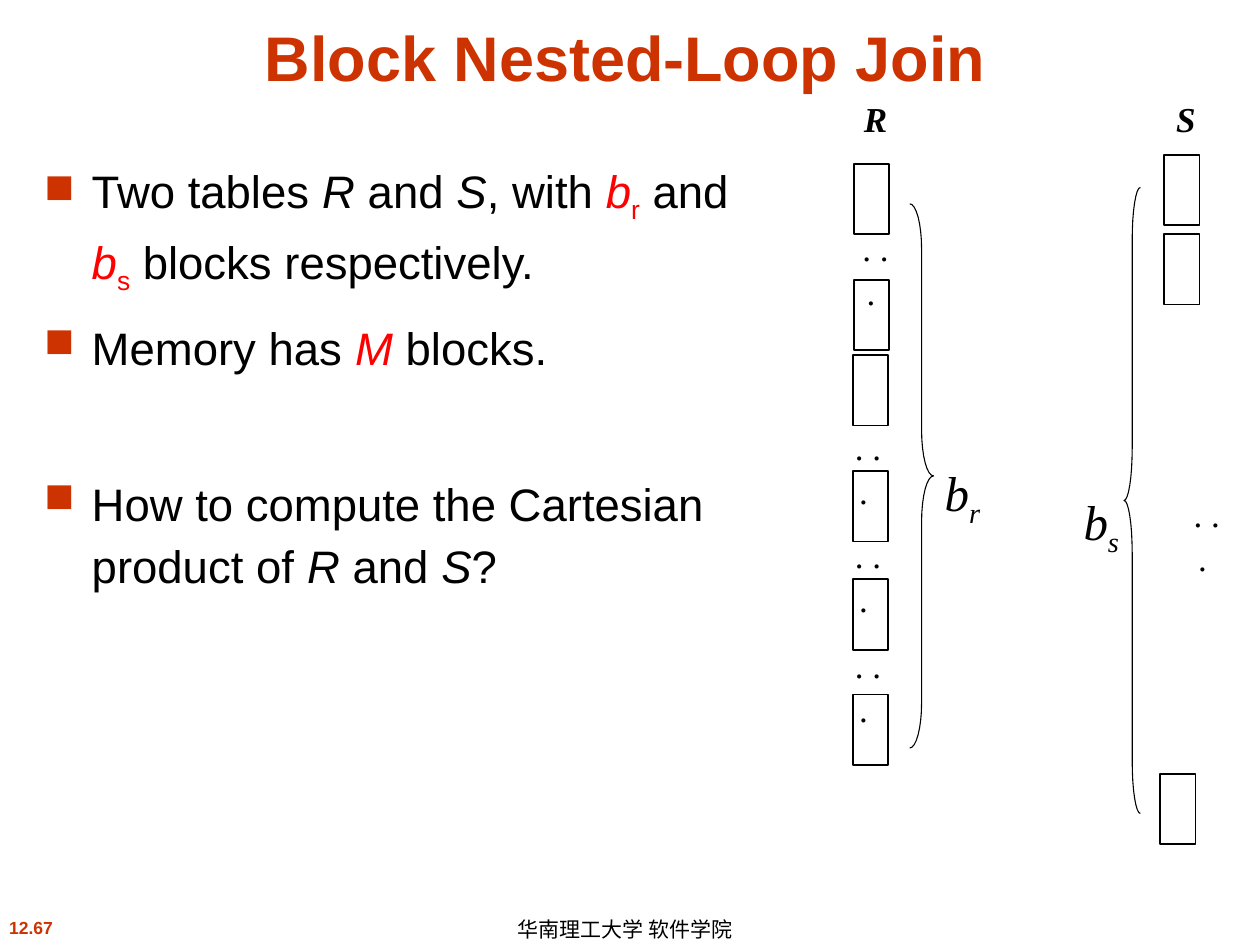
"""Build the slide on the block nested-loop join of two tables."""
from dataclasses import dataclass
from math import cos, pi, sin

from lxml import etree
from pptx import Presentation
from pptx.dml.color import RGBColor
from pptx.enum.shapes import MSO_SHAPE
from pptx.enum.text import MSO_ANCHOR, PP_ALIGN
from pptx.oxml.ns import qn
from pptx.util import Cm, Pt

RECTANGLE = MSO_SHAPE.RECTANGLE
CENTER, LEFT = PP_ALIGN.CENTER, PP_ALIGN.LEFT
TOP, MIDDLE, BOTTOM = MSO_ANCHOR.TOP, MSO_ANCHOR.MIDDLE, MSO_ANCHOR.BOTTOM
COLORS = {"accent": "CC3300", "text": "000000", "symbol": "FF0000", "block": "FFFFFF"}
SANS, SERIF = "Arial", "Times New Roman"
BLOCK_WIDTH, BLOCK_HEIGHT = 0.71, 1.42
ARC_STEPS = 8


@dataclass(frozen=True)
class Piece:
    text: str
    color: str = ""
    italic: bool = False
    subscript: bool = False


@dataclass(frozen=True)
class Style:
    size: float
    font: str = SANS
    color: str = "text"
    bold: bool = False
    italic: bool = False
    align: PP_ALIGN = CENTER


@dataclass(frozen=True)
class Label:
    box: tuple[float, float, float, float]
    pieces: list[Piece]
    style: Style
    anchor: MSO_ANCHOR = TOP
    inset: bool = False


@dataclass(frozen=True)
class Bullet:
    pieces: list[Piece]
    space_before: float = 0


@dataclass(frozen=True)
class Brace:
    outer: float
    tip: float
    top: float
    height: float


def rgb(name: str) -> RGBColor:
    return RGBColor.from_string(COLORS[name])


def set_font(paragraph, style: Style) -> None:
    paragraph.alignment = style.align
    font = paragraph.font
    font.name, font.size = style.font, Pt(style.size)
    font.bold, font.italic = style.bold, style.italic
    font.color.rgb = rgb(style.color)


def add_pieces(paragraph, pieces: list[Piece]) -> None:
    for piece in pieces:
        run = paragraph.add_run()
        run.text = piece.text
        if piece.italic:
            run.font.italic = True
        if piece.color:
            run.font.color.rgb = rgb(piece.color)
        if piece.subscript:
            run.font._element.set("baseline", "-25000")


def add_box(slide, box: tuple, anchor: MSO_ANCHOR = TOP, inset: bool = True, wrap: bool = False):
    frame = slide.shapes.add_textbox(*map(Cm, box)).text_frame
    frame.word_wrap, frame.vertical_anchor = wrap, anchor
    if not inset:
        frame.margin_left = frame.margin_top = frame.margin_right = frame.margin_bottom = 0
    return frame


def add_label(slide, label: Label) -> None:
    paragraph = add_box(slide, label.box, label.anchor, label.inset).paragraphs[0]
    set_font(paragraph, label.style)
    add_pieces(paragraph, label.pieces)


def add_dots(slide, left: float, top: float) -> None:
    paragraph = add_box(slide, (left, top, 1.04, 0.84), inset=False, wrap=True).paragraphs[0]
    paragraph.line_spacing = 1.05
    paragraph._p.get_or_add_pPr().set("indent", str(Cm(0.18)))
    set_font(paragraph, Style(20, SERIF))
    add_pieces(paragraph, [Piece(". . .")])


def add_bullets(slide, box: tuple, bullets: list[Bullet]) -> None:
    frame = add_box(slide, box, wrap=True)
    for index, bullet in enumerate(bullets):
        paragraph = frame.add_paragraph() if index else frame.paragraphs[0]
        paragraph.line_spacing = 1.15
        paragraph.space_before = Pt(bullet.space_before)
        properties = paragraph._p.get_or_add_pPr()
        properties.set("marL", str(Cm(0.96)))
        properties.set("indent", str(Cm(-0.96)))
        color = etree.SubElement(properties, qn("a:buClr"))
        etree.SubElement(color, qn("a:srgbClr"), val=COLORS["accent"])
        etree.SubElement(properties, qn("a:buSzPct"), val="90000")
        etree.SubElement(properties, qn("a:buChar"), char="■")
        set_font(paragraph, Style(26, align=LEFT))
        add_pieces(paragraph, bullet.pieces)


def add_block(slide, left: float, top: float) -> None:
    shape = slide.shapes.add_shape(RECTANGLE, *map(Cm, (left, top, BLOCK_WIDTH, BLOCK_HEIGHT)))
    shape.shadow.inherit = False
    shape.fill.solid()
    shape.fill.fore_color.rgb = rgb("block")
    shape.line.color.rgb = rgb("text")
    shape.line.width = Pt(1)


def add_brace(slide, brace: Brace) -> None:
    radius, half = brace.height / 12, (brace.tip - brace.outer) / 2
    center = brace.top + brace.height / 2
    angles = [step * pi / 2 / ARC_STEPS for step in range(ARC_STEPS + 1)]
    upper = [(brace.outer + half * sin(a), brace.top + radius * (1 - cos(a))) for a in angles]
    upper += [(brace.tip - half * cos(a), center - radius * (1 - sin(a))) for a in angles]
    lower = [(x, 2 * center - y) for x, y in reversed(upper[:-1])]
    points = [(Cm(x), Cm(y)) for x, y in upper + lower]
    builder = slide.shapes.build_freeform(*points[0])
    builder.add_line_segments(points[1:], close=False)
    shape = builder.convert_to_shape()
    shape.shadow.inherit = False
    shape.fill.background()
    shape.line.color.rgb = rgb("text")
    shape.line.width = Pt(0.63)


def add_title(slide, text: str) -> None:
    title = slide.shapes.title
    title.left, title.top, title.width, title.height = map(Cm, (0.64, 0.33, 23.93, 1.7))
    title.text_frame.vertical_anchor = BOTTOM
    title.text_frame.text = text
    set_font(title.text_frame.paragraphs[0], Style(36, color="accent", bold=True))


R, S, AND = Piece("R", italic=True), Piece("S", italic=True), Piece(" and ")
BULLETS = [
    Bullet([Piece("Two tables "), R, AND, S, Piece(", with "),
            Piece("b", "symbol", True), Piece("r", "symbol", subscript=True), AND,
            Piece("b", "symbol", True), Piece("s", "symbol", subscript=True),
            Piece(" blocks respectively.")]),
    Bullet([Piece("Memory has "), Piece("M", "symbol", True), Piece(" blocks.")], 9),
    Bullet([Piece("How to compute the Cartesian product of "), R, AND, S, Piece("?")], 53),
]
BLOCKS = [(17.22, 3.3), (17.22, 5.64), (17.2, 7.16), (17.2, 9.5), (17.2, 11.68), (17.2, 14),
          (23.47, 3.12), (23.47, 4.72), (23.39, 15.6)]
DOTS = [(16.89, 12.93), (16.89, 10.72), (16.89, 8.53), (17.04, 4.52), (23.72, 9.88)]
BRACES = [Brace(22.99, 22.66, 3.78, 12.62), Brace(18.34, 18.82, 4.11, 10.97)]
COUNT = Style(28, SERIF, italic=True)
TABLE_NAME = Style(20, SERIF, bold=True, italic=True)
LABELS = [
    Label((19.02, 9.32, 0.76, 1.19), [Piece("b"), Piece("r", subscript=True)], COUNT),
    Label((21.82, 9.91, 0.76, 1.19), [Piece("b"), Piece("s", subscript=True)], COUNT),
    Label((17.37, 1.96, 0.56, 0.86), [Piece("R")], TABLE_NAME),
    Label((23.7, 1.96, 0.41, 0.86), [Piece("S")], TABLE_NAME),
    Label((-0.1, 18.36, 1.45, 0.69), [Piece("12.67")], Style(10, color="accent", bold=True),
          inset=True),
    Label((10.19, 18.42, 5.69, 0.64), [Piece("华南理工大学 软件学院")], Style(12, align=LEFT),
          MIDDLE, True),
]


def main() -> None:
    presentation = Presentation()
    presentation.slide_width, presentation.slide_height = Cm(25.4), Cm(19.05)
    slide = presentation.slides.add_slide(presentation.slide_layouts[5])
    add_title(slide, "Block Nested-Loop Join")
    add_bullets(slide, (0.64, 2.97, 14.3, 14.6), BULLETS)
    for left, top in BLOCKS:
        add_block(slide, left, top)
    for left, top in DOTS:
        add_dots(slide, left, top)
    for brace in BRACES:
        add_brace(slide, brace)
    for label in LABELS:
        add_label(slide, label)
    presentation.save("out.pptx")


if __name__ == "__main__":
    main()
